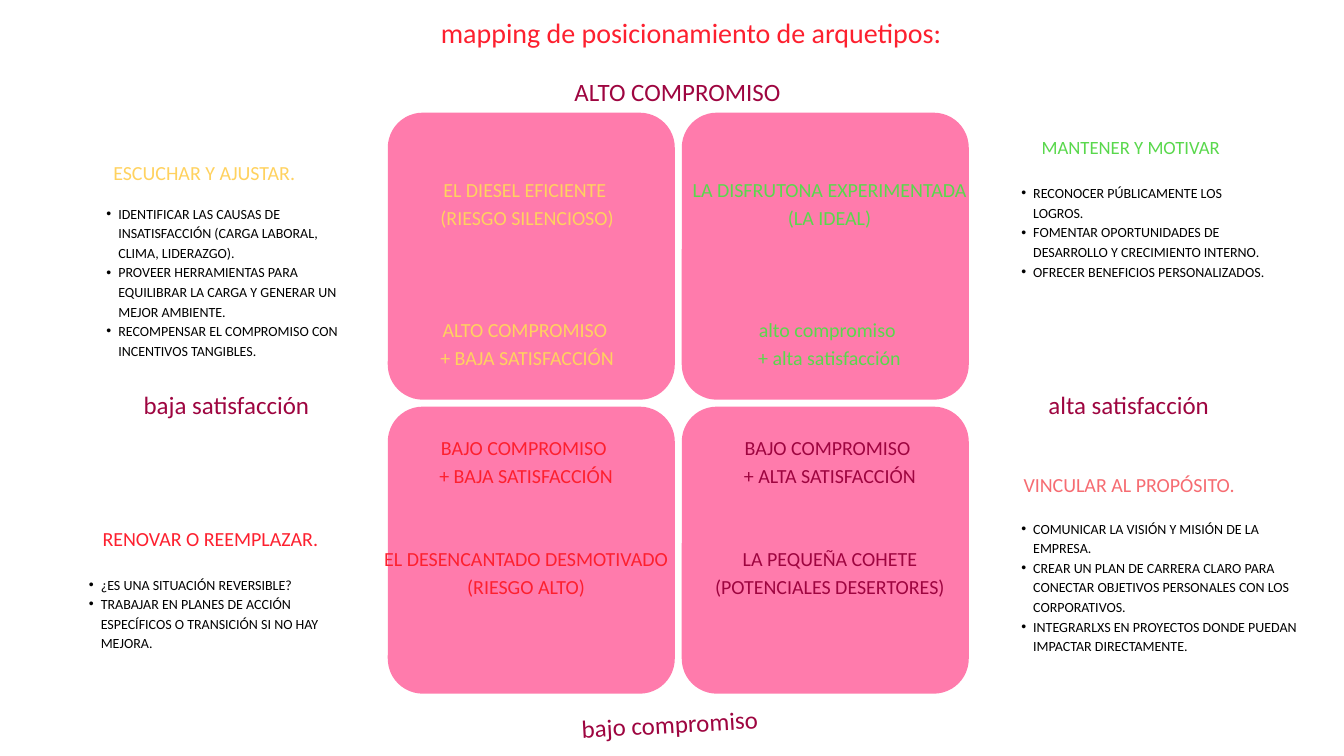
"""Build the archetype positioning map slide."""
from dataclasses import dataclass
from itertools import product
from typing import NamedTuple

from lxml.etree import SubElement
from pptx import Presentation
from pptx.dml.color import RGBColor
from pptx.enum.shapes import MSO_SHAPE as Preset
from pptx.enum.text import MSO_AUTO_SIZE as AutoSize, PP_ALIGN as Align
from pptx.oxml.ns import qn
from pptx.slide import Slide
from pptx.util import Emu, Pt

SCALE = 9525


@dataclass(frozen=True)
class Theme:
    font: str = "Calibri"
    tile: str = "FF7BAC"
    yellow: str = "FFD25F"
    green: str = "59D84C"
    red: str = "FD202F"
    coral: str = "F66C72"
    wine: str = "9E0540"
    black: str = "000000"
    heading: float = 30
    axis: float = 26.7
    label: float = 21.4
    small_label: float = 20
    body: float = 15
    leading: float = 1.4


THEME = Theme()


class Area(NamedTuple):
    left: int
    top: int
    width: int
    height: int


@dataclass(frozen=True)
class Label:
    area: Area
    groups: tuple[tuple[str, ...], ...]
    color: str
    size: float
    blank_lines: int = 0
    rotation: float = 0
    bulleted: bool = False


def px(value: int) -> Emu:
    return Emu(value * SCALE)


def line(area: Area, text: str, color: str, size: float, rotation: float = 0) -> Label:
    return Label(area, ((text,),), color, size, rotation=rotation)


def bullets(area: Area, *items: str) -> Label:
    return Label(area, (items,), THEME.black, THEME.body, bulleted=True)


def archetype(area: Area, color: str, blank_lines: int, *groups: tuple[str, ...]) -> Label:
    return Label(area, groups, color, THEME.label, blank_lines)


TILE, GAP = 410, 10
TILE_LEFT, TILE_TOP = 554, 161
CORNER = 50

LABELS = (
    line(Area(110, 550, 427, 48), "baja satisfacción", THEME.wine, THEME.axis),
    line(Area(1399, 550, 427, 48), "alta satisfacción", THEME.wine, THEME.axis),
    line(Area(747, 1005, 427, 48), "bajo compromiso ", THEME.wine, THEME.axis, -3.2),
    line(Area(808, 102, 328, 48), "ALTO COMPROMISO ", THEME.wine, THEME.axis),
    archetype(Area(554, 248, 398, 276), THEME.yellow, 3,
              ("EL DIESEL EFICIENTE ", "(RIESGO SILENCIOSO)"),
              ("ALTO COMPROMISO ", "+ BAJA SATISFACCIÓN")),
    archetype(Area(540, 616, 423, 276), THEME.red, 2,
              ("BAJO COMPROMISO ", "+ BAJA SATISFACCIÓN"),
              ("EL DESENCANTADO DESMOTIVADO (RIESGO ALTO)",)),
    archetype(Area(972, 616, 427, 236), THEME.wine, 2,
              ("BAJO COMPROMISO ", "+ ALTA SATISFACCIÓN"),
              ("LA PEQUEÑA COHETE", "(POTENCIALES DESERTORES)")),
    archetype(Area(986, 248, 398, 276), THEME.green, 3,
              ("LA DISFRUTONA EXPERIMENTADA (LA IDEAL)",),
              ("alto compromiso ", "+ alta satisfacción")),
    bullets(Area(1442, 260, 368, 196),
            "RECONOCER PÚBLICAMENTE LOS LOGROS.",
            "FOMENTAR OPORTUNIDADES DE DESARROLLO Y CRECIMIENTO INTERNO.",
            "OFRECER BENEFICIOS PERSONALIZADOS."),
    line(Area(1474, 189, 283, 37), "MANTENER Y MOTIVAR", THEME.green, THEME.small_label),
    bullets(Area(135, 289, 355, 224),
            "IDENTIFICAR LAS CAUSAS DE INSATISFACCIÓN (CARGA LABORAL, CLIMA, LIDERAZGO).",
            "PROVEER HERRAMIENTAS PARA EQUILIBRAR LA CARGA Y GENERAR UN MEJOR AMBIENTE.",
            "RECOMPENSAR EL COMPROMISO CON INCENTIVOS TANGIBLES."),
    line(Area(144, 223, 302, 37), "ESCUCHAR Y AJUSTAR. ", THEME.yellow, THEME.label),
    bullets(Area(110, 819, 380, 112),
            "¿ES UNA SITUACIÓN REVERSIBLE?",
            "TRABAJAR EN PLANES DE ACCIÓN ESPECÍFICOS O TRANSICIÓN SI NO HAY MEJORA."),
    line(Area(130, 747, 341, 37), "RENOVAR O REEMPLAZAR.", THEME.red, THEME.label),
    line(Area(1444, 669, 338, 37), "VINCULAR AL PROPÓSITO.", THEME.coral, THEME.label),
    bullets(Area(1442, 739, 414, 196),
            "COMUNICAR LA VISIÓN Y MISIÓN DE LA EMPRESA.",
            "CREAR UN PLAN DE CARRERA CLARO PARA CONECTAR OBJETIVOS PERSONALES CON LOS CORPORATIVOS.",
            "INTEGRARLXS EN PROYECTOS DONDE PUEDAN IMPACTAR DIRECTAMENTE."),
    line(Area(178, 14, 1619, 56), "mapping de posicionamiento de arquetipos:",
         THEME.red, THEME.heading),
)


def draw_tile(slide: Slide, area: Area) -> None:
    tile = slide.shapes.add_shape(Preset.ROUNDED_RECTANGLE, *map(px, area))
    tile.adjustments[0] = CORNER / TILE
    tile.shadow.inherit = False
    tile.fill.solid()
    tile.fill.fore_color.rgb = RGBColor.from_string(THEME.tile)
    tile.line.fill.background()


def add_bullet(para) -> None:
    para.level = 1
    props = para._p.get_or_add_pPr()
    props.set("marL", str(px(34)))
    props.set("indent", str(px(-17)))
    SubElement(props, qn("a:buFont")).set("typeface", "Arial")
    SubElement(props, qn("a:buChar")).set("char", "•")


def draw_label(slide: Slide, label: Label) -> None:
    box = slide.shapes.add_textbox(*map(px, label.area))
    box.rotation = label.rotation
    frame = box.text_frame
    frame.margin_left = frame.margin_top = frame.margin_right = frame.margin_bottom = 0
    frame.word_wrap = True
    frame.auto_size = AutoSize.SHAPE_TO_FIT_TEXT
    leading = label.size * THEME.leading
    para = None
    for group_index, group in enumerate(label.groups):
        for text_index, text in enumerate(group):
            para = frame.add_paragraph() if para else frame.paragraphs[0]
            if label.bulleted:
                add_bullet(para)
            else:
                para.alignment = Align.CENTER
            para.line_spacing = Pt(leading)
            if group_index and not text_index:
                para.space_before = Pt(label.blank_lines * leading)
            span = para.add_run()
            span.text = text
            span.font.name = THEME.font
            span.font.size = Pt(label.size)
            span.font.color.rgb = RGBColor.from_string(label.color)


def main() -> None:
    deck = Presentation()
    deck.slide_width, deck.slide_height = px(1920), px(1080)
    page = deck.slides.add_slide(deck.slide_layouts[6])
    for row, column in product(range(2), repeat=2):
        draw_tile(page, Area(TILE_LEFT + column * (TILE + GAP),
                             TILE_TOP + row * (TILE + GAP), TILE, TILE))
    for label in LABELS:
        draw_label(page, label)
    deck.save("out.pptx")


if __name__ == "__main__":
    main()
